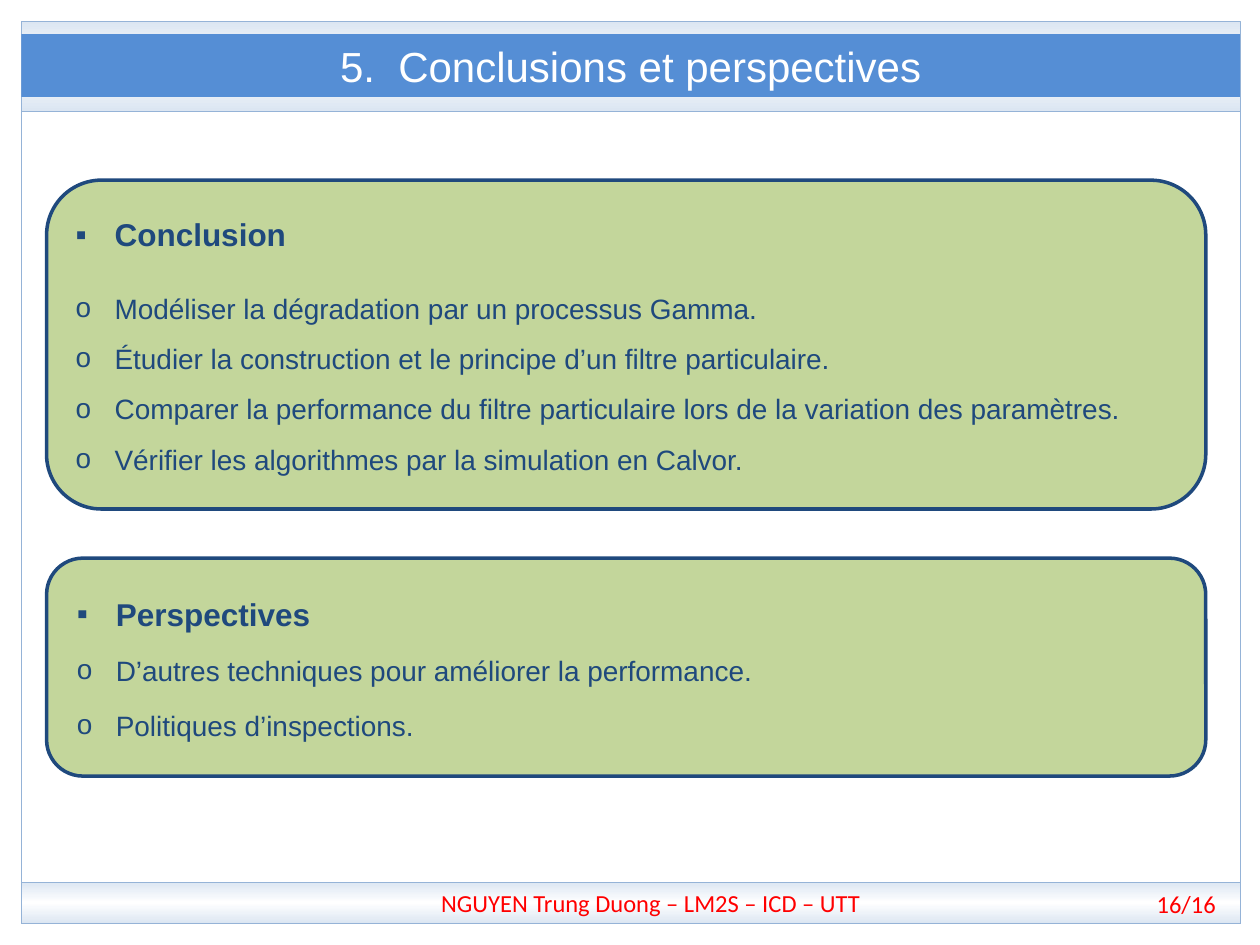
from pptx import Presentation
from pptx.dml.color import RGBColor
from pptx.enum.shapes import MSO_CONNECTOR as Connector, MSO_SHAPE as Shape
from pptx.enum.text import MSO_ANCHOR as Anchor, MSO_AUTO_SIZE as AutoSize, PP_ALIGN as Align
from pptx.oxml import parse_xml
from pptx.oxml.ns import nsdecls, qn
from pptx.oxml.xmlchemy import OxmlElement
from pptx.util import Inches, Pt

COLORS = {
    "pale": "DCE6F2", "white": "FFFFFF", "rule": "95B3D7", "title": "558ED5",
    "card": "C3D69B", "navy": "1F497D", "red": "FF0000",
}
CELL = Inches(0.1)  # the slide is a grid of 100 columns by 75 rows
LEFT, WIDTH = 1.7, 96.7
LEFT_SIDE, RIGHT_SIDE = 1, 3


def grid(*lengths):
    return [round(length * CELL) for length in lengths]


def rgb(name):
    return RGBColor.from_string(COLORS[name])


class SlideBuilder:
    """Holds the style and the current slide."""

    def __init__(self, deck, layout):
        self.slide = deck.slides.add_slide(deck.slide_layouts[layout])
        self.shapes = self.slide.shapes

    def style(self, para, font, size, color, bold=False):
        for span in para.runs:
            span.font.name, span.font.size = font, Pt(size)
            span.font.bold, span.font.color.rgb = bold, rgb(color)

    def box(self, kind, at, line, width):
        box = self.shapes.add_shape(kind, *grid(*at))
        box.shadow.inherit = False
        box.line.color.rgb, box.line.width = rgb(line), Pt(width)
        return box

    def band(self, at):
        band = self.box(Shape.RECTANGLE, at, "rule", 0.25)
        band.fill.gradient()
        band.fill.gradient_angle = 90
        stops = "".join(
            f'<a:gs pos="{pos}"><a:srgbClr val="{COLORS[name]}"/></a:gs>'
            for pos, name in ((0, "pale"), (50000, "white"), (100000, "pale")))
        old = band._element.spPr.find(qn("a:gradFill")).find(qn("a:gsLst"))
        old.getparent().replace(old, parse_xml(f'<a:gsLst {nsdecls("a")}>{stops}</a:gsLst>'))
        return band

    def card(self, at):
        card = self.box(Shape.ROUNDED_RECTANGLE, at, "navy", 2)
        card.fill.solid()
        card.fill.fore_color.rgb = rgb("card")

    def side_rule(self, band, side, x, bottom):
        rule = self.shapes.add_connector(Connector.STRAIGHT, *grid(x, 5.2, x, bottom))
        rule.begin_connect(band, side)
        rule.line.color.rgb, rule.line.width = rgb("rule"), Pt(0.25)
        rule._element.spPr.append(OxmlElement("a:effectLst"))

    def label(self, box, text):
        frame = box.text_frame
        frame.text, frame.word_wrap = text, True
        frame.vertical_anchor = Anchor.MIDDLE
        frame.paragraphs[0].alignment = Align.CENTER
        self.style(frame.paragraphs[0], "Calibri", 14, "red")

    def page_number(self, at, text):
        self.label(self.shapes.add_textbox(*grid(*at)), text)

    def place(self, holder, at):
        """Moves a placeholder to its cells, in front of what is drawn so far."""
        self.shapes._spTree.append(holder._element)
        holder.left, holder.top, holder.width, holder.height = grid(*at)
        holder.text_frame.auto_size = AutoSize.NONE
        return holder.text_frame

    def title(self, at, text):
        holder = self.shapes.title
        frame = self.place(holder, at)
        holder.fill.solid()
        holder.fill.fore_color.rgb = rgb("title")
        frame.text, frame.vertical_anchor = text, Anchor.MIDDLE
        frame.paragraphs[0].alignment = Align.CENTER
        self.style(frame.paragraphs[0], "Arial", 24, "white")

    def bullet_list(self, index, at, heading, items, pitch=None):
        frame = self.place(self.slide.placeholders[index], at)
        frame.vertical_anchor = Anchor.TOP
        frame.text = "\n".join([heading, *items])
        for number, para in enumerate(frame.paragraphs):
            first = number == 0
            para.space_before = Pt(12 if number == 1 or (number and not pitch) else 0)
            para.line_spacing = Pt(pitch) if pitch and not first else 1.0
            self.bullet(para, "▪" if first else "o")
            self.style(para, "Arial", 18 if first else 16, "navy", first)

    def bullet(self, para, mark):
        props = para._p.get_or_add_pPr()
        indent = Inches(0.31)
        props.set("marL", str(indent))
        props.set("indent", str(-indent))
        for tag, key, value in (("a:buFont", "typeface", "Arial"), ("a:buChar", "char", mark)):
            node = OxmlElement(tag)
            node.set(key, value)
            props.append(node)


def main():
    deck = Presentation()
    deck.slide_width, deck.slide_height = grid(100, 75)
    page = SlideBuilder(deck, layout=3)  # title and two lists

    # Frame: header band, side rules, footer band
    header = page.band((LEFT, 1.7, WIDTH, 7.1))
    page.side_rule(header, RIGHT_SIDE, LEFT + WIDTH, 73.3)
    page.side_rule(header, LEFT_SIDE, LEFT, 73.3)
    footer = page.band((LEFT, 70, WIDTH, 3.3))
    page.label(footer, "NGUYEN Trung Duong – LM2S – ICD – UTT")
    footer.text_frame.margin_left = Inches(0.42)
    page.page_number((90, 70, 8.3, 3.4), "16/16")

    # Title bar
    page.title((LEFT, 2.7, WIDTH, 5), "5.  Conclusions et perspectives")

    # Conclusion
    page.card((3.7, 14.3, 92, 26.1))
    page.bullet_list(1, (5, 16.6, 91.3, 23), "Conclusion", [
        "Modéliser la dégradation par un processus Gamma.",
        "Étudier la construction et le principe d’un filtre particulaire.",
        "Comparer la performance du filtre particulaire lors de la variation des paramètres.",
        "Vérifier les algorithmes par la simulation en Calvor.",
    ], pitch=28.8)

    # Perspectives
    page.card((3.7, 44.3, 92, 17.3))
    page.bullet_list(2, (5.1, 46.7, 88.7, 13.1), "Perspectives", [
        "D’autres techniques pour améliorer la performance.",
        "Politiques d’inspections.",
    ])
    deck.save("out.pptx")


if __name__ == "__main__":
    main()
